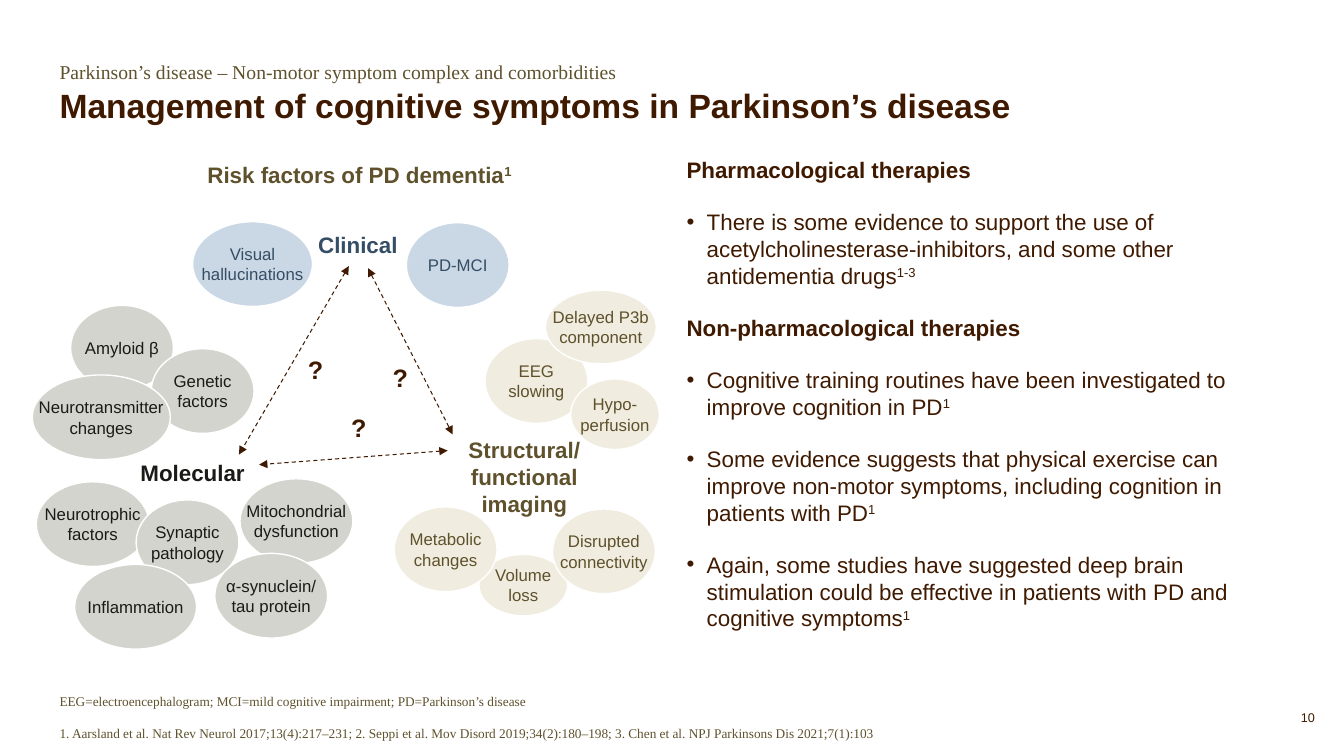
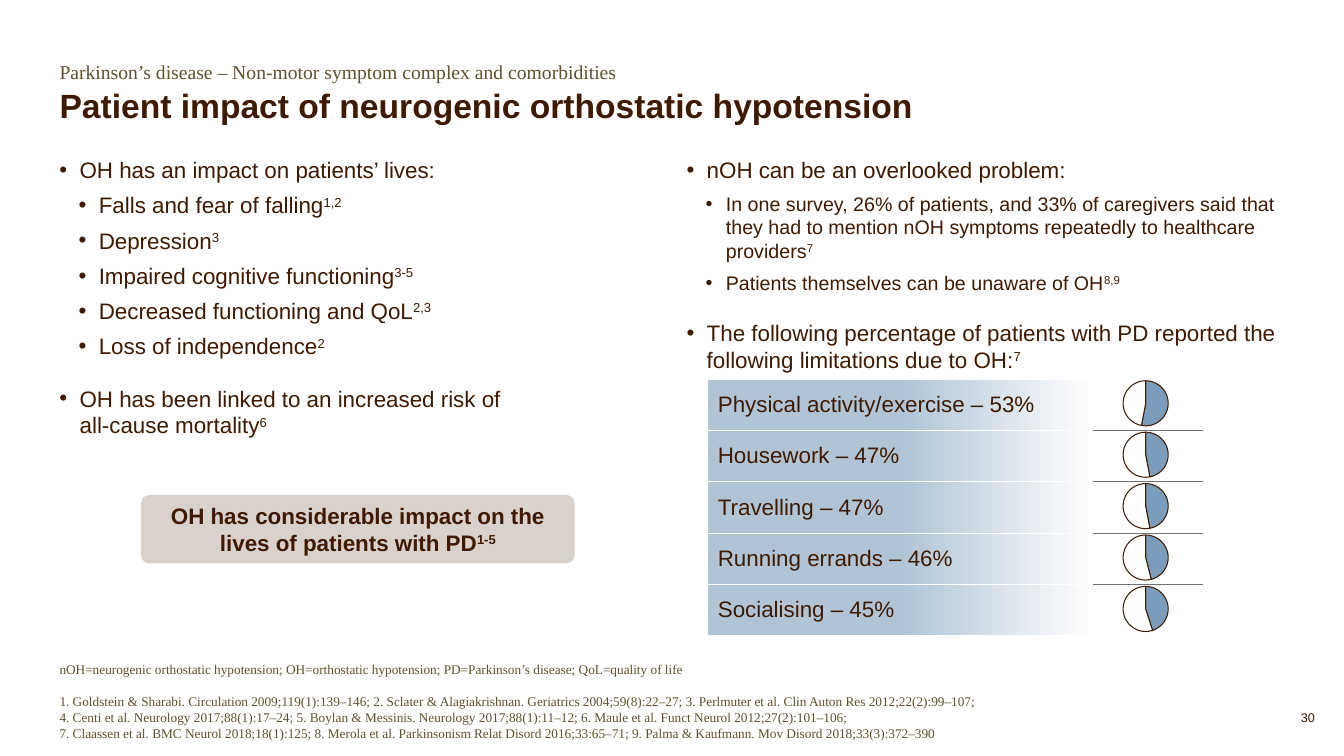
from pptx import Presentation
from pptx import util as u
from pptx.chart.data import CategoryChartData
from pptx.dml.color import RGBColor
from pptx.enum import chart as charts, dml, shapes, text
from pptx.oxml.xmlchemy import OxmlElement

Inches, Pt = u.Inches, u.Pt
CENTER, RIGHT = text.PP_ALIGN.CENTER, text.PP_ALIGN.RIGHT
MIDDLE, BOTTOM = text.MSO_ANCHOR.MIDDLE, text.MSO_ANCHOR.BOTTOM

# Shared look
BROWN, OLIVE, NAVY, BLACK, WHITE = "3F1A01", "5E512C", "354E66", "1A1A17", "FFFFFF"
SANS, SERIF = "Arial", "Times New Roman"
LEFT, RIGHT_COL, BODY_TOP = 0.59, 6.81, 1.55
KICKER = "Parkinson’s disease – Non-motor symptom complex and comorbidities"

# Body styles: size, bold, left indent, space before, bullet
STYLES = {
    "head": (16, True, 0, 18, False),
    "item": (16, False, 0.2, 18, True),
    "sub": (16, False, 0.39, 6, True),
    "small": (14, False, 0.39, 6, True),
}

# Slide 1 content; "^" starts a superscript
THERAPIES = [
    ("head", "Pharmacological therapies"),
    ("item", "There is some evidence to support the use of acetylcholinesterase-inhibitors, "
             "and some other antidementia drugs^1-3"),
    ("head", "Non-pharmacological therapies"),
    ("item", "Cognitive training routines have been investigated to improve cognition in PD^1"),
    ("item", "Some evidence suggests that physical exercise can improve non-motor symptoms, "
             "including cognition in patients with PD^1"),
    ("item", "Again, some studies have suggested deep brain stimulation could be effective in "
             "patients with PD and cognitive symptoms^1"),
]
COGNITION_NOTES = [
    "EEG=electroencephalogram; MCI=mild cognitive impairment; PD=Parkinson’s disease",
    "1. Aarsland et al. Nat Rev Neurol 2017;13(4):217–231; 2. Seppi et al. Mov Disord "
    "2019;34(2):180–198; 3. Chen et al. NPJ Parkinsons Dis 2021;7(1):103",
]
# Risk groups: name, name box position, text colour, fill, factors (label, box)
RISK_GROUPS = [
    ("Clinical", (2.74, 1.71), NAVY, "CAD7E4", [
        ("Visual\nhallucinations", (1.91, 2.2, 1.19, 0.84)),
        ("PD-MCI", (4.03, 2.21, 1.02, 0.84)),
    ]),
    ("Structural/\nfunctional\nimaging", (4.39, 4.01), OLIVE, "F0ECDF", [
        ("Volume\nloss", (4.75, 5.5, 0.88, 0.61)),
        ("EEG\nslowing", (4.81, 3.36, 1.02, 0.84)),
        ("Metabolic\nchanges", (3.91, 5.03, 1.02, 0.84)),
        ("Disrupted\nconnectivity", (5.48, 5.05, 1.02, 0.84)),
        ("Hypo-\nperfusion", (5.66, 3.76, 0.88, 0.7)),
        ("Delayed P3b\ncomponent", (5.41, 2.88, 1.1, 0.73)),
    ]),
    ("Molecular", (1.1, 3.97), BLACK, "D4D4CE", [
        ("Amyloid β", (0.7, 3.03, 1.02, 0.84)),
        ("Genetic\nfactors", (1.5, 3.46, 1.02, 0.84)),
        ("Neurotransmitter\nchanges", (0.32, 3.72, 1.37, 0.84)),
        ("Neurotrophic\nfactors", (0.36, 4.78, 1.12, 0.84)),
        ("Synaptic\npathology", (1.35, 4.96, 1.02, 0.84)),
        ("Inflammation", (0.74, 5.6, 1.21, 0.84)),
        ("Mitochondrial\ndysfunction", (2.38, 4.75, 1.12, 0.84)),
        ("α-synuclein/\ntau protein", (2.13, 5.49, 1.12, 0.84)),
    ]),
]
# Open links: arrow start, arrow end, question mark position
LINKS = [
    ((3.46, 2.64), (2.37, 4.51), (2.93, 3.47)),
    ((3.65, 2.66), (4.49, 4.31), (3.77, 3.54)),
    ((4.44, 4.47), (2.57, 4.61), (3.36, 4.04)),
]

# Slide 2 content
IMPACT = [
    ("item", "OH has an impact on patients’ lives:"),
    ("sub", "Falls and fear of falling^1,2"),
    ("sub", "Depression^3"),
    ("sub", "Impaired cognitive functioning^3-5"),
    ("sub", "Decreased functioning and QoL^2,3"),
    ("sub", "Loss of independence^2"),
    ("item", "OH has been linked to an increased risk of\nall-cause mortality^6"),
]
OVERLOOKED = [
    ("item", "nOH can be an overlooked problem:"),
    ("small", "In one survey, 26% of patients, and 33% of caregivers said that they had to "
              "mention nOH symptoms repeatedly to healthcare providers^7"),
    ("small", "Patients themselves can be unaware of OH^8,9"),
    ("item", "The following percentage of patients with PD reported the following "
             "limitations due to OH:^7"),
]
LIMITATIONS = [("Physical activity/exercise", 53), ("Housework", 47), ("Travelling", 47),
               ("Running errands", 46), ("Socialising", 45)]
TAKEAWAY = "OH has considerable impact on the lives of patients with PD^1-5"
IMPACT_NOTES = [
    "nOH=neurogenic orthostatic hypotension; OH=orthostatic hypotension; "
    "PD=Parkinson’s disease; QoL=quality of life",
    "1. Goldstein & Sharabi. Circulation 2009;119(1):139–146; 2. Sclater & Alagiakrishnan. "
    "Geriatrics 2004;59(8):22–27; 3. Perlmuter et al. Clin Auton Res 2012;22(2):99–107;\n"
    "4. Centi et al. Neurology 2017;88(1):17–24; 5. Boylan & Messinis. Neurology "
    "2017;88(1):11–12; 6. Maule et al. Funct Neurol 2012;27(2):101–106;\n"
    "7. Claassen et al. BMC Neurol 2018;18(1):125; 8. Merola et al. Parkinsonism Relat Disord "
    "2016;33:65–71; 9. Palma & Kaufmann. Mov Disord 2018;33(3):372–390",
]


def rgb(color):
    return RGBColor.from_string(color)


def node(parent, tag, **attrs):
    el = OxmlElement(tag)
    for key, value in attrs.items():
        el.set(key, str(value))
    parent.append(el)
    return el


def write(p, content, size, color=BROWN, font=SANS, bold=False, align=None):
    main, _, sup = content.partition("^")
    p.text = main
    if sup:
        r = p.add_run()
        r.text = sup
        r.font._element.set("baseline", "30000")
    if align is not None:
        p.alignment = align
    for r in p.runs:
        r.font.size, r.font.name, r.font.bold = Pt(size), font, bold
        r.font.color.rgb = rgb(color)


def frame(sp, anchor=None, wrap=True, inset=None):
    tf = sp.text_frame
    tf.word_wrap = wrap
    if anchor is not None:
        tf.vertical_anchor = anchor
    if inset is not None:
        tf.margin_left = tf.margin_right = tf.margin_top = tf.margin_bottom = Inches(inset)
    return tf


def place(box):
    return [Inches(v) for v in box]


def add_text(s, box, content, size, color=BROWN, font=SANS, bold=False, align=None, anchor=None):
    tf = frame(s.shapes.add_textbox(*place(box)), anchor, inset=0)
    write(tf.paragraphs[0], content, size, color, font, bold, align)
    return tf


def add_shape(s, kind, box, fill, line=None):
    sp = s.shapes.add_shape(kind, *place(box))
    sp.shadow.inherit = False
    sp.fill.solid()
    sp.fill.fore_color.rgb = rgb(fill)
    if line:
        sp.line.color.rgb = rgb(line)
        sp.line.width = Pt(1)
    else:
        sp.line.fill.background()
    return sp


def add_body(s, left, items):
    tf = frame(s.shapes.add_textbox(*place((left, BODY_TOP, 5.93, 4.83))), inset=0)
    for i, (style, content) in enumerate(items):
        size, bold, indent, before, bullet = STYLES[style]
        p = tf.add_paragraph() if i else tf.paragraphs[0]
        if i:
            p.space_before = Pt(before)
        if bullet:
            pPr = p._p.get_or_add_pPr()
            pPr.set("marL", str(Inches(indent)))
            pPr.set("indent", str(Inches(-0.2)))
            node(pPr, "a:buFont", typeface=SANS)
            node(pPr, "a:buChar", char="•")
        write(p, content, size, bold=bold)


def new_slide(prs, title, notes, number):
    s = prs.slides.add_slide(prs.slide_layouts[5])
    sp = s.shapes.title
    sp.left, sp.top, sp.width, sp.height = place((LEFT, 0.89, 10.08, 0.36))
    p = frame(sp, BOTTOM, inset=0).paragraphs[0]
    write(p, title, 24, bold=True, align=text.PP_ALIGN.LEFT)
    p.line_spacing = 0.9
    add_text(s, (LEFT, 0.59, 10.08, 0.29), KICKER, 14, OLIVE, SERIF)
    abbreviations, references = notes
    tf = add_text(s, (LEFT, 6.67, 10.08, 0.68), abbreviations, 9.5, OLIVE, SERIF, anchor=BOTTOM)
    p = tf.add_paragraph()
    p.space_before = Pt(11)
    write(p, references, 9.5, OLIVE, SERIF)
    add_text(s, (12.39, 7.04, 0.65, 0.17), str(number), 9, align=RIGHT)
    return s


def add_link(s, start, end):
    cx = s.shapes.add_connector(shapes.MSO_CONNECTOR.STRAIGHT, *place(start + end))
    cx.line.color.rgb = rgb(BROWN)
    cx.line.width = Pt(0.75)
    cx.line.dash_style = dml.MSO_LINE.DASH
    ln = cx.line._get_or_add_ln()
    for tag in ("a:headEnd", "a:tailEnd"):
        node(ln, tag, type="triangle")
    node(cx._element.spPr, "a:effectLst")


def border(tcPr, side, color):
    ln = node(tcPr, "a:ln" + side, w=Pt(1))
    node(node(ln, "a:solidFill"), "a:srgbClr", val=color)


def fade(tcPr):
    grad = node(tcPr, "a:gradFill", rotWithShape=1)
    stops = node(grad, "a:gsLst")
    for pos, color in ((0, "B0C4D6"), (50, "B0C4D6"), (100, WHITE)):
        node(node(stops, "a:gs", pos=pos * 1000), "a:srgbClr", val=color)
    node(grad, "a:lin", ang=0, scaled=0)


def add_limitations(s, left, top, row_height):
    rows = len(LIMITATIONS)
    box = place((left, top, 4.91, row_height * rows))
    table = s.shapes.add_table(rows, 2, *box).table
    table.first_row = table.horz_banding = False
    table._tbl.tblPr[0].text = "{2D5ABB26-0587-4C30-8999-92F81FD0307C}"
    table.columns[0].width, table.columns[1].width = Inches(3.82), Inches(1.09)
    for i, (label, share) in enumerate(LIMITATIONS):
        name, blank = table.cell(i, 0), table.cell(i, 1)
        name.vertical_anchor = MIDDLE
        write(name.text_frame.paragraphs[0], f"{label} – {share}%", 16)
        for cell, inner in ((name, WHITE), (blank, "717171")):
            tcPr = cell._tc.get_or_add_tcPr()
            border(tcPr, "T", inner if i else WHITE)
            border(tcPr, "B", inner if i < rows - 1 else WHITE)
        fade(name._tc.get_or_add_tcPr())
        blank.fill.background()
        add_pie(s, (11.08, top - 0.05 + i * row_height, 0.59, 0.59), share)


def add_pie(s, box, share):
    data = CategoryChartData()
    data.categories = ["1", "2"]
    data.add_series("Series 1", (share, 100 - share))
    chart = s.shapes.add_chart(charts.XL_CHART_TYPE.PIE, *place(box), data).chart
    chart.has_legend = chart.has_title = False
    chart.font.size, chart.font.name = Pt(10), SANS
    chart.font.color.rgb = rgb(BROWN)
    plot = chart.plots[0]
    plot.vary_by_categories = False
    for i, color in enumerate(("7B9CBB", WHITE)):
        fmt = plot.series[0].points[i].format
        fmt.fill.solid()
        fmt.fill.fore_color.rgb = rgb(color)
        fmt.line.color.rgb = rgb(BROWN)
        fmt.line.width = Pt(0.75)
    # Fixed plot area
    area = chart._chartSpace.chart.plotArea
    for old in area.findall(area[0].tag.split("}")[0] + "}layout"):
        area.remove(old)
    layout = OxmlElement("c:layout")
    area.insert(0, layout)
    manual = node(layout, "c:manualLayout")
    for tag, value in (("layoutTarget", "inner"), ("xMode", "edge"), ("yMode", "edge"),
                       ("x", 0.1), ("y", 0.02), ("w", 0.76), ("h", 0.95)):
        node(manual, "c:" + tag, val=value)


def cognition_slide(prs):
    s = new_slide(prs, "Management of cognitive symptoms in Parkinson’s disease",
                  COGNITION_NOTES, 10)
    add_body(s, RIGHT_COL, THERAPIES)
    add_text(s, (LEFT, 1.6, 5.95, 0.27), "Risk factors of PD dementia^1", 16, OLIVE,
             bold=True, align=CENTER)
    # Risk factor clusters
    for group, (x, y), color, fill, factors in RISK_GROUPS:
        add_text(s, (x, y, 1.62, 1.44), group, 16, color, bold=True, align=CENTER, anchor=MIDDLE)
        for label, box in factors:
            sp = add_shape(s, shapes.MSO_SHAPE.OVAL, box, fill, WHITE)
            write(frame(sp, MIDDLE, wrap=False).paragraphs[0], label, 12, color, align=CENTER)
    # Open questions between the clusters
    for start, end, (x, y) in LINKS:
        add_link(s, start, end)
        add_text(s, (x, y, 0.4, 0.4), "?", 18, bold=True, align=CENTER, anchor=MIDDLE)


def impact_slide(prs):
    s = new_slide(prs, "Patient impact of neurogenic orthostatic hypotension", IMPACT_NOTES, 30)
    add_body(s, LEFT, IMPACT)
    add_body(s, RIGHT_COL, OVERLOOKED)
    add_limitations(s, 7.02, 3.76, 0.51)
    # Takeaway box
    sp = add_shape(s, shapes.MSO_SHAPE.ROUNDED_RECTANGLE, (1.4, 4.91, 4.3, 0.68), "D9D1CC")
    sp.adjustments[0] = 0.12
    write(frame(sp, MIDDLE).paragraphs[0], TAKEAWAY, 16, bold=True, align=CENTER)


def main():
    prs = Presentation()
    prs.slide_width, prs.slide_height = Inches(13.33), Inches(7.5)
    cognition_slide(prs)
    impact_slide(prs)
    prs.save("out.pptx")


if __name__ == "__main__":
    main()
